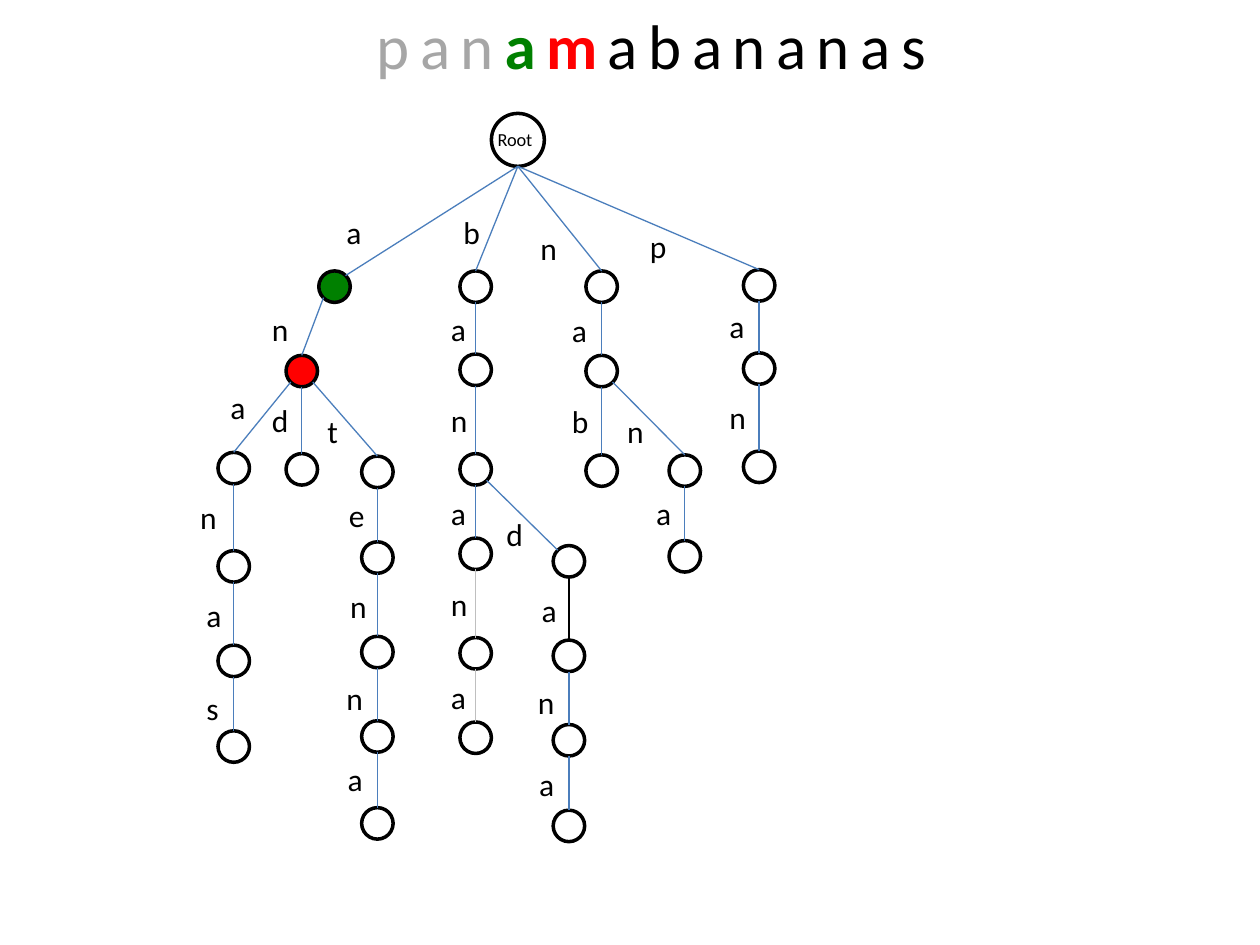
"""Build a slide showing a trie of patterns matched against a text."""
from dataclasses import dataclass
from enum import Enum

from lxml.etree import SubElement
from pptx import Presentation
from pptx.dml.color import RGBColor
from pptx.enum.shapes import MSO_CONNECTOR as Connector, MSO_SHAPE as Shape
from pptx.enum.text import MSO_ANCHOR as Anchor, MSO_AUTO_SIZE as AutoSize, PP_ALIGN as Align
from pptx.oxml.ns import qn
from pptx.slide import Slide
from pptx.util import Inches, Pt

BLACK = RGBColor(0x00, 0x00, 0x00)
WHITE = RGBColor(0xFF, 0xFF, 0xFF)
GREEN = RGBColor(0x00, 0x80, 0x00)
RED = RGBColor(0xFF, 0x00, 0x00)
BLUE = RGBColor(0x4B, 0x7E, 0xBC)
SILVER = RGBColor(0xBF, 0xBF, 0xBF)
GRAY = RGBColor(0xA6, 0xA6, 0xA6)

FONT = "Calibri"
LETTER_WIDTHS = {"a": 0.32, "e": 0.33, "s": 0.3, "t": 0.29}
DEFAULT_WIDTH = 0.34


class Site(Enum):
    """Place on a node's outline, as fractions of its size."""
    TOP = (0.5, 0)
    BOTTOM = (0.5, 1)
    TOP_LEFT = (0.15, 0.15)
    TOP_RIGHT = (0.85, 0.15)
    BOTTOM_LEFT = (0.15, 0.85)
    BOTTOM_RIGHT = (0.85, 0.85)


@dataclass(frozen=True)
class Node:
    """Trie node, with the label and style of the edge from its parent."""
    prefix: str
    left: float
    top: float
    label_left: float
    label_top: float
    start: Site = Site.BOTTOM
    end: Site = Site.TOP
    fill: RGBColor = WHITE
    edge: RGBColor = BLUE
    size: float = 0.25

    def point(self, site: Site) -> tuple[Inches, Inches]:
        """Return the slide position of a site on this node."""
        across, down = site.value
        return Inches(self.left + across * self.size), Inches(self.top + down * self.size)


@dataclass(frozen=True)
class TitlePart:
    """Stretch of the title in one style."""
    text: str
    color: RGBColor
    bold: bool = False


TITLE = [
    TitlePart("pan", GRAY),
    TitlePart("a", GREEN, True),
    TitlePart("m", RED, True),
    TitlePart("abananas", BLACK),
]
ROOT = Node("", 3.9, 0.9, 3.85, 0.97, size=0.42)
NODES = [
    Node("a", 2.53, 2.15, 2.65, 1.64, end=Site.TOP_RIGHT, fill=GREEN),
    Node("an", 2.27, 2.82, 2.06, 2.41, start=Site.BOTTOM_LEFT, fill=RED),
    Node("ana", 1.73, 3.59, 1.73, 3.03, start=Site.BOTTOM_LEFT),
    Node("anan", 1.73, 4.37, 1.49, 3.9),
    Node("anana", 1.73, 5.12, 1.54, 4.68),
    Node("ananas", 1.73, 5.8, 1.54, 5.42),
    Node("and", 2.27, 3.6, 2.06, 3.13),
    Node("ant", 2.87, 3.62, 2.5, 3.22, start=Site.BOTTOM_RIGHT),
    Node("ante", 2.87, 4.3, 2.67, 3.89),
    Node("anten", 2.87, 5.05, 2.68, 4.61),
    Node("antenn", 2.87, 5.72, 2.65, 5.34),
    Node("antenna", 2.87, 6.41, 2.66, 5.98),
    Node("b", 3.65, 2.15, 3.58, 1.64),
    Node("ba", 3.65, 2.81, 3.48, 2.41),
    Node("ban", 3.65, 3.6, 3.48, 3.13),
    Node("bana", 3.65, 4.27, 3.48, 3.87),
    Node("banan", 3.65, 5.06, 3.48, 4.59, edge=SILVER),
    Node("banana", 3.65, 5.73, 3.48, 5.33, edge=SILVER),
    Node("band", 4.39, 4.33, 3.92, 4.04, start=Site.BOTTOM_RIGHT, end=Site.TOP_LEFT),
    Node("banda", 4.39, 5.08, 4.2, 4.64, edge=BLACK),
    Node("bandan", 4.39, 5.75, 4.17, 5.37),
    Node("bandana", 4.39, 6.43, 4.18, 6.02),
    Node("n", 4.65, 2.15, 4.19, 1.77),
    Node("na", 4.65, 2.82, 4.44, 2.42),
    Node("nab", 4.65, 3.61, 4.44, 3.14),
    Node("nan", 5.31, 3.61, 4.88, 3.22, start=Site.BOTTOM_RIGHT),
    Node("nana", 5.31, 4.29, 5.11, 3.87),
    Node("p", 5.9, 2.14, 5.06, 1.75),
    Node("pa", 5.9, 2.8, 5.69, 2.39),
    Node("pan", 5.9, 3.58, 5.69, 3.11),
]


def draw_title(page: Slide) -> None:
    """Fill and place the title."""
    title = page.shapes.title
    title.left, title.top = Inches(2.67), Inches(0)
    title.width, title.height = Inches(5), Inches(0.71)
    frame = title.text_frame
    frame.word_wrap = True
    frame.auto_size = AutoSize.NONE
    frame.vertical_anchor = Anchor.TOP
    para = frame.paragraphs[0]
    para.alignment = Align.CENTER
    para.font.name = FONT
    para.font.size = Pt(36)
    for part in TITLE:
        span = para.add_run()
        span.text = part.text
        span.font.name = FONT
        span.font.size = Pt(36)
        span.font.bold = part.bold
        span.font.color.rgb = part.color
        span.font._element.set("spc", "600")


def draw_node(page: Slide, node: Node) -> None:
    """Draw the circle of a node."""
    circle = page.shapes.add_shape(
        Shape.OVAL, Inches(node.left), Inches(node.top), Inches(node.size), Inches(node.size)
    )
    circle.shadow.inherit = False
    circle.fill.solid()
    circle.fill.fore_color.rgb = node.fill
    circle.line.color.rgb = BLACK
    circle.line.width = Pt(2)


def draw_edge(page: Slide, parent: Node, child: Node) -> None:
    """Draw the line from a parent to its child."""
    line = page.shapes.add_connector(
        Connector.STRAIGHT, *parent.point(child.start), *child.point(child.end)
    )
    line.line.color.rgb = child.edge
    line.line.width = Pt(0.75)
    SubElement(line._element.spPr, qn("a:effectLst"))


def draw_label(page: Slide, node: Node, text: str, width: float, height: float, size: float) -> None:
    """Write one line of text at a node's label position."""
    box = page.shapes.add_textbox(
        Inches(node.label_left), Inches(node.label_top), Inches(width), Inches(height)
    )
    box.text_frame.word_wrap = False
    para = box.text_frame.paragraphs[0]
    para.text = text
    para.font.name = FONT
    para.font.size = Pt(size)
    para.font.color.rgb = BLACK


def main() -> None:
    """Build and save the deck."""
    deck = Presentation()
    deck.slide_width, deck.slide_height = Inches(10), Inches(7.5)
    page = deck.slides.add_slide(deck.slide_layouts.get_by_name("Title Only"))
    draw_title(page)
    draw_node(page, ROOT)
    draw_label(page, ROOT, "Root", 0.55, 0.28, 10.5)
    trie = {node.prefix: node for node in [ROOT, *NODES]}
    for node in NODES:
        letter = node.prefix[-1]
        draw_node(page, node)
        draw_edge(page, trie[node.prefix[:-1]], node)
        draw_label(page, node, letter, LETTER_WIDTHS.get(letter, DEFAULT_WIDTH), 0.4, 18)
    deck.save("out.pptx")


if __name__ == "__main__":
    main()
